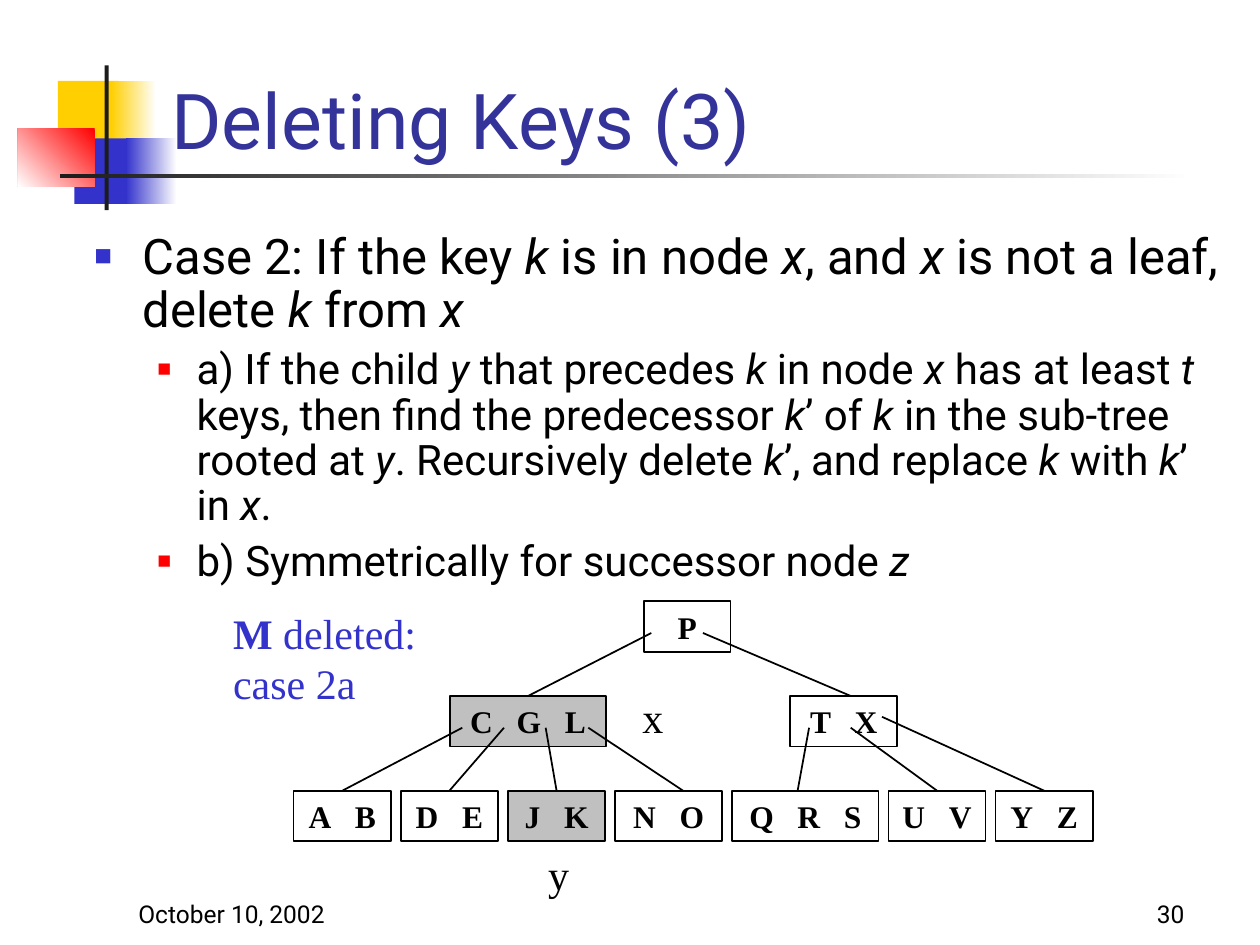
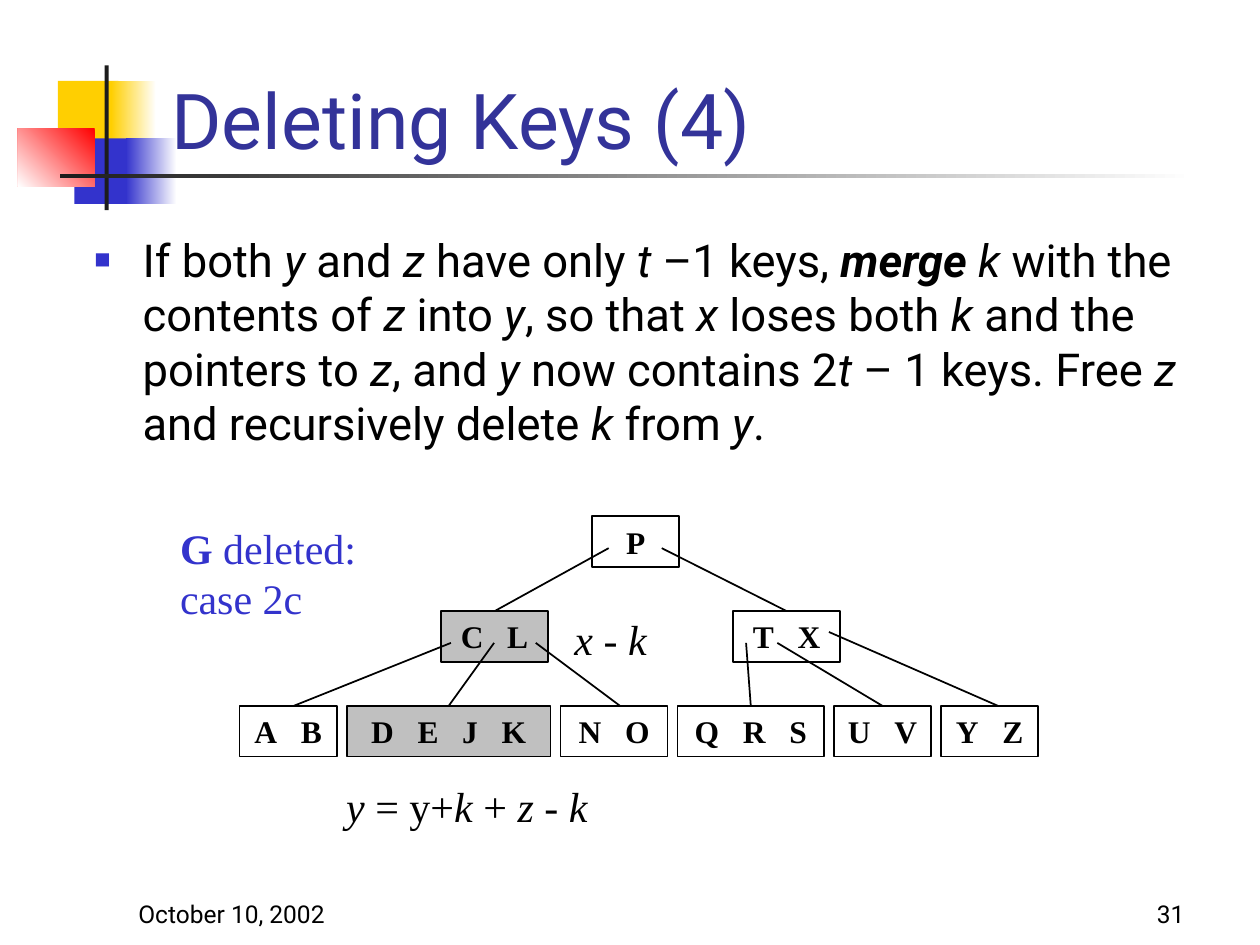
"""Builds two slides on deleting keys from a B-tree."""
from dataclasses import dataclass
from typing import NamedTuple

from lxml import etree
from pptx import Presentation
from pptx.dml.color import RGBColor
from pptx.enum.shapes import MSO_CONNECTOR, MSO_SHAPE
from pptx.enum.text import MSO_ANCHOR, MSO_AUTO_SIZE, PP_ALIGN
from pptx.oxml.ns import qn
from pptx.util import Cm, Pt

RECT = MSO_SHAPE.RECTANGLE
STRAIGHT = MSO_CONNECTOR.STRAIGHT
TOP, MIDDLE, BOTTOM = MSO_ANCHOR.TOP, MSO_ANCHOR.MIDDLE, MSO_ANCHOR.BOTTOM
LEFT, CENTER, RIGHT = PP_ALIGN.LEFT, PP_ALIGN.CENTER, PP_ALIGN.RIGHT
NO_FIT = MSO_AUTO_SIZE.NONE

SANS, SERIF = "Roboto", "Times New Roman"
BLACK, WHITE, GREY, DARK = "000000", "FFFFFF", "C0C0C0", "1C1C1C"
BLUE, NAVY, RED, YELLOW = "3333CC", "333399", "FF0000", "FFCF01"
DATE = "October 10, 2002"

NODE_HEIGHT, ROW_STEP, LEAF_GAP = 1.02, 1.91, 0.2
POINTER_DROP, GLUE_DISTANCE = 0.64, 0.1


class Band(NamedTuple):
    """A decorative rectangle, plain or fading to a second colour."""
    x: float
    y: float
    w: float
    h: float
    color: str
    fade: str = ""
    angle: int = 180


class Bullet(NamedTuple):
    """The look of one list level."""
    size: float
    color: str
    percent: int
    margin: float
    indent: float
    before: float


class Item(NamedTuple):
    """A list entry; _ toggles italic and * toggles bold."""
    text: str
    level: int = 0


class Label(NamedTuple):
    """A free text beside the tree."""
    text: str
    x: float
    y: float
    w: float
    h: float = 1.27
    color: str = BLACK


class Node(NamedTuple):
    """A tree node; leaves take their x from the row."""
    keys: str
    w: float
    x: float = 0
    shaded: bool = False


class Pointer(NamedTuple):
    """A line from a parent at x1 to a child at x2."""
    x1: float
    x2: float
    drop: float = POINTER_DROP


@dataclass
class Page:
    """All that differs between the slides."""
    number: int
    title: str
    items: list[Item]
    body_height: float
    tree_top: float
    leaf_left: float
    inner: list[Node]
    leaves: list[Node]
    pointers: list[Pointer]
    labels: list[Label]
    text_size: float = 0
    line_spacing: float = 1


BANDS = [
    Band(1.17, 1.63, 1.22, 1.32, YELLOW),
    Band(2.24, 1.63, 0.91, 1.32, WHITE, YELLOW),
    Band(1.5, 2.79, 1.17, 1.32, BLUE),
    Band(2.54, 2.79, 1.02, 1.32, WHITE, BLUE),
    Band(0.36, 2.59, 1.55, 1.17, RED, WHITE, 225),
    Band(2.11, 1.32, 0.08, 2.92, DARK),
    Band(1.22, 3.51, 22.86, 0.09, WHITE, DARK),
]
BULLETS = [Bullet(28, BLUE, 60, 0.97, -0.97, 7), Bullet(24, RED, 55, 2.06, -0.79, 6)]
LAST_LEAVES = [Node("N O", 2.16), Node("Q R S", 2.95), Node("U V", 1.96), Node("Y Z", 1.96)]

PAGES = [
    Page(
        30, "Deleting Keys (3)",
        [Item("Case 2: If the key _k_ is in node _x_, and _x_ is not a leaf, delete_ k_ from _x_"),
         Item("a) If the child _y_ that precedes _k_ in node _x_ has at least_ t_ keys, then find "
              "the predecessor _k_’ of _k_ in the sub-tree rooted at _y_. Recursively delete "
              "_k_’, and replace _k_ with _k_’ in _x_.", 1),
         Item("b) Symmetrically for successor node _z_", 1)],
        body_height=7.8, tree_top=12.12, leaf_left=5.92,
        inner=[Node("P", 1.75, 12.98), Node("C G L", 3.15, 9.07, True), Node("T X", 2.16, 15.93)],
        leaves=[Node("A B", 1.96), Node("D E", 1.96), Node("J K", 1.96, shaded=True), *LAST_LEAVES],
        pointers=[Pointer(13.13, 10.59), Pointer(14.17, 17.15), Pointer(9.32, 6.99),
                  Pointer(10.16, 9.09), Pointer(11, 11.23), Pointer(11.86, 13.77),
                  Pointer(16.31, 16.08), Pointer(17.15, 18.85), Pointer(17.78, 20.96, 0.42)],
        labels=[Label("*M* deleted: case 2a", 4.45, 12.12, 4.24, 2.29, BLUE),
                Label("x", 12.7, 13.82, 1.27), Label("y", 10.8, 16.99, 1.27)],
        line_spacing=0.9,
    ),
    Page(
        31, "Deleting Keys (4)",
        [Item("If both _y_ and _z_ have only _t _–1 keys, *_merge _*_k_ with the contents of _z_ "
              "into _y_, so that _x_ loses both _k_ and the pointers to _z_, and _y_ now contains "
              "2_t_ – 1 keys. Free _z_ and recursively delete _k_ from _y_.")],
        body_height=5.74, tree_top=10.41, leaf_left=4.83,
        inner=[Node("P", 1.75, 11.94), Node("C L", 2.16, 8.89, True), Node("T X", 2.16, 14.78)],
        leaves=[Node("A B", 1.96), Node("D E J K", 4.11, shaded=True), *LAST_LEAVES],
        pointers=[Pointer(12.27, 9.96), Pointer(13.34, 15.88), Pointer(9.09, 5.92),
                  Pointer(9.96, 9.09), Pointer(10.8, 12.5), Pointer(15.04, 15.04),
                  Pointer(15.67, 17.78), Pointer(16.71, 20.12, 0.42)],
        labels=[Label("*G* deleted: case 2c", 3.38, 10.41, 4.24, 2.29, BLUE),
                Label("_y_ = y+_k_ + _z - k_", 6.73, 15.6, 5.92),
                Label("_x - k_", 11.33, 12.24, 2.11)],
        text_size=25.9,
    ),
]


def rgb(color: str) -> RGBColor:
    """Turn a hex string into a colour."""
    return RGBColor.from_string(color)


def add_text(p, text: str, *, size: float, font: str = SANS, color: str = BLACK,
             bold: bool = False, spacing: float = 0) -> None:
    """Add runs to a paragraph, reading * as bold and _ as italic toggles."""
    for i, part in enumerate(text.split("*")):
        for j, piece in enumerate(part.split("_")):
            if not piece:
                continue
            r = p.add_run()
            r.text = piece
            r.font.name, r.font.size = font, Pt(size)
            r.font.color.rgb = rgb(color)
            r.font.bold = bold or i % 2 == 1
            r.font.italic = j % 2 == 1
            if spacing:
                r.font._element.set("spc", str(round(spacing * 100)))


def place(shape, x: float, y: float, w: float, h: float) -> None:
    """Move and size a shape in centimetres."""
    shape.left, shape.top, shape.width, shape.height = Cm(x), Cm(y), Cm(w), Cm(h)


def set_frame(shape, anchor=TOP, align=LEFT):
    """Prepare a text frame and return its first paragraph."""
    tf = shape.text_frame
    tf.word_wrap, tf.auto_size, tf.vertical_anchor = True, NO_FIT, anchor
    tf.paragraphs[0].alignment = align
    return tf.paragraphs[0]


def add_box(s, x: float, y: float, w: float, h: float, fill: str = ""):
    """Add a rectangle without shadow or outline."""
    sp = s.shapes.add_shape(RECT, Cm(x), Cm(y), Cm(w), Cm(h))
    sp.shadow.inherit = False
    sp.line.fill.background()
    if fill:
        sp.fill.solid()
        sp.fill.fore_color.rgb = rgb(fill)
    else:
        sp.fill.background()
    return sp


def add_label(s, label: Label, *, anchor=TOP, align=LEFT, size: float = 24,
              font: str = SERIF) -> None:
    """Add a text box."""
    sp = s.shapes.add_textbox(Cm(label.x), Cm(label.y), Cm(label.w), Cm(label.h))
    add_text(set_frame(sp, anchor, align), label.text, size=size, font=font, color=label.color)


def add_bands(s, layout) -> None:
    """Draw the bands and hand them to the layout, behind its placeholders."""
    for i, band in enumerate(BANDS):
        sp = add_box(s, band.x, band.y, band.w, band.h, band.color)
        if band.fade:
            sp.fill.gradient()
            sp.fill.gradient_angle = band.angle
            for stop, color in zip(sp.fill.gradient_stops, (band.color, band.fade)):
                stop.color.rgb = rgb(color)
        sp.element.nvSpPr.cNvPr.set("id", str(100 + i))
        layout.shapes.element.insert(2 + i, sp.element)


def add_bullet(p, bullet: Bullet) -> None:
    """Give a paragraph its indent and square bullet."""
    pPr = p._p.get_or_add_pPr()
    pPr.set("marL", str(Cm(bullet.margin)))
    pPr.set("indent", str(Cm(bullet.indent)))
    color = etree.SubElement(pPr, qn("a:buClr"))
    etree.SubElement(color, qn("a:srgbClr"), val=bullet.color)
    etree.SubElement(pPr, qn("a:buSzPct"), val=str(bullet.percent * 1000))
    etree.SubElement(pPr, qn("a:buChar"), char="■")


def fill_body(body, page: Page) -> None:
    """Write the list into the body placeholder."""
    place(body, 1.65, 4.55, 23.22, page.body_height)
    p = set_frame(body)
    for i, item in enumerate(page.items):
        if i:
            p = body.text_frame.add_paragraph()
        bullet = BULLETS[item.level]
        p.level, p.line_spacing, p.space_before = item.level, page.line_spacing, Pt(bullet.before)
        add_bullet(p, bullet)
        add_text(p, item.text, size=page.text_size or bullet.size)


def add_node(s, node: Node, x: float, y: float):
    """Draw a node with its keys spread apart."""
    sp = add_box(s, x, y, node.w, NODE_HEIGHT, GREY if node.shaded else "")
    sp.line.color.rgb, sp.line.width = rgb(BLACK), Pt(1)
    p = set_frame(sp, MIDDLE, CENTER)
    for i, key in enumerate(node.keys.split()):
        if i:
            add_text(p, " ", size=18, font=SERIF, bold=True, spacing=9)
        add_text(p, key, size=18, font=SERIF, bold=True)
    return sp


def add_pointer(s, pointer: Pointer, child) -> None:
    """Draw a line to a child, joined where it meets the middle of its top."""
    y = child.top
    line = s.shapes.add_connector(STRAIGHT, Cm(pointer.x1), y - Cm(ROW_STEP - pointer.drop),
                                  Cm(pointer.x2), y)
    line.line.color.rgb, line.line.width = rgb(BLACK), Pt(1)
    etree.SubElement(line._element.spPr, qn("a:effectLst"))
    if abs(child.left + child.width // 2 - Cm(pointer.x2)) < Cm(GLUE_DISTANCE):
        line.end_connect(child, 0)


def add_tree(s, page: Page) -> None:
    """Draw the nodes row by row, then the labels and pointers."""
    boxes = [add_node(s, node, node.x, page.tree_top + ROW_STEP * (i > 0))
             for i, node in enumerate(page.inner)]
    x = page.leaf_left
    for leaf in page.leaves:
        boxes.append(add_node(s, leaf, x, page.tree_top + 2 * ROW_STEP))
        x += leaf.w + LEAF_GAP
    for label in page.labels:
        add_label(s, label)
    for pointer, child in zip(page.pointers, boxes[1:]):
        add_pointer(s, pointer, child)


def add_page(prs, layout, page: Page):
    """Build one slide."""
    s = prs.slides.add_slide(layout)
    title, body = s.placeholders
    place(title, 3.2, 0.28, 21.64, 3.18)
    add_text(set_frame(title, BOTTOM), page.title, size=44, color=NAVY)
    fill_body(body, page)
    add_tree(s, page)
    for text, x, align in ((str(page.number), 18.85, RIGHT), (DATE, 2.54, LEFT)):
        add_label(s, Label(text, x, 17.58, 5.28), anchor=BOTTOM, align=align, size=14, font=SANS)
    return s


def main() -> None:
    """Build and save the presentation."""
    prs = Presentation()
    prs.slide_width, prs.slide_height = Cm(25.4), Cm(19.05)
    layout = prs.slide_layouts[1]
    slides = [add_page(prs, layout, page) for page in PAGES]
    add_bands(slides[0], layout)
    prs.save("out.pptx")


if __name__ == "__main__":
    main()
